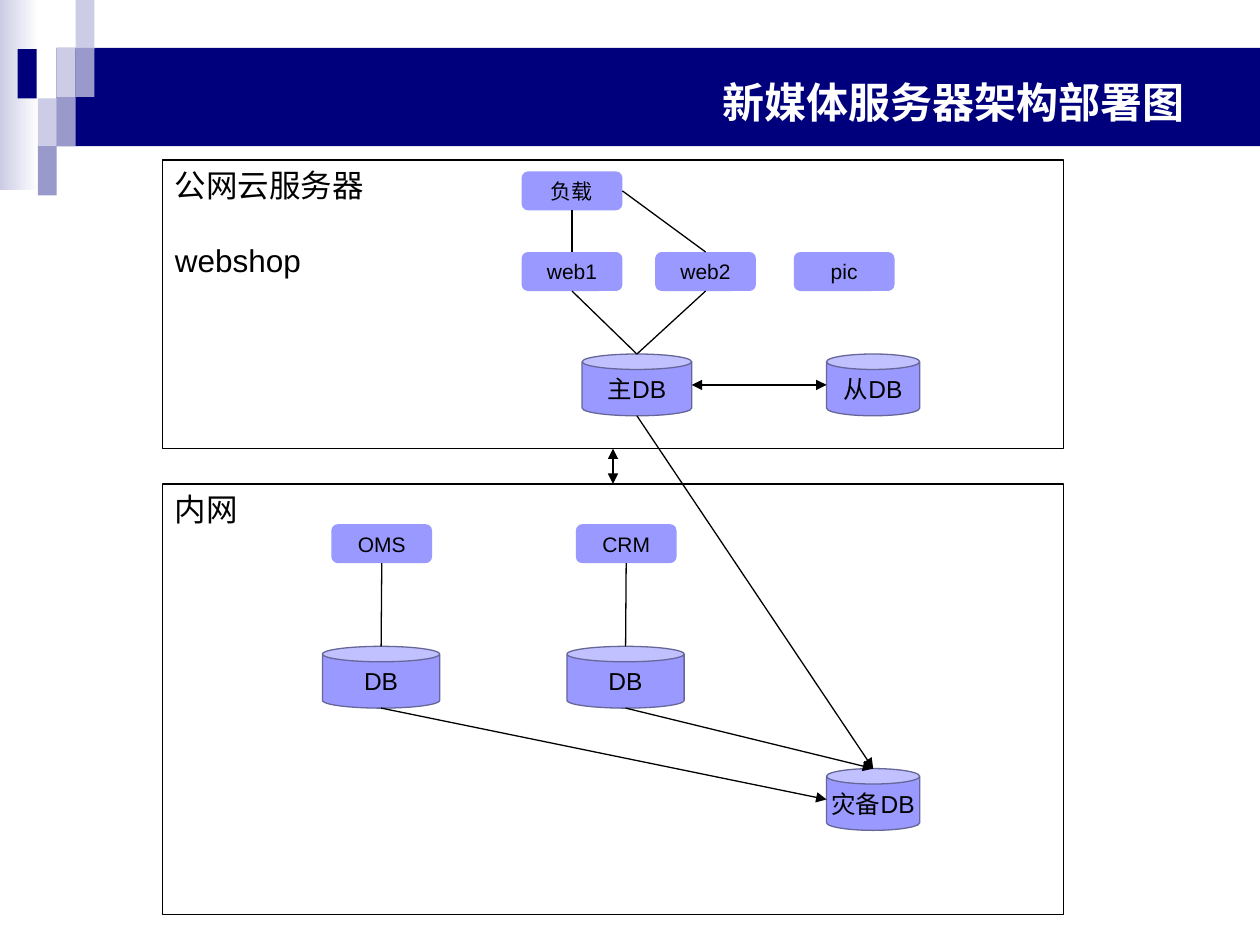
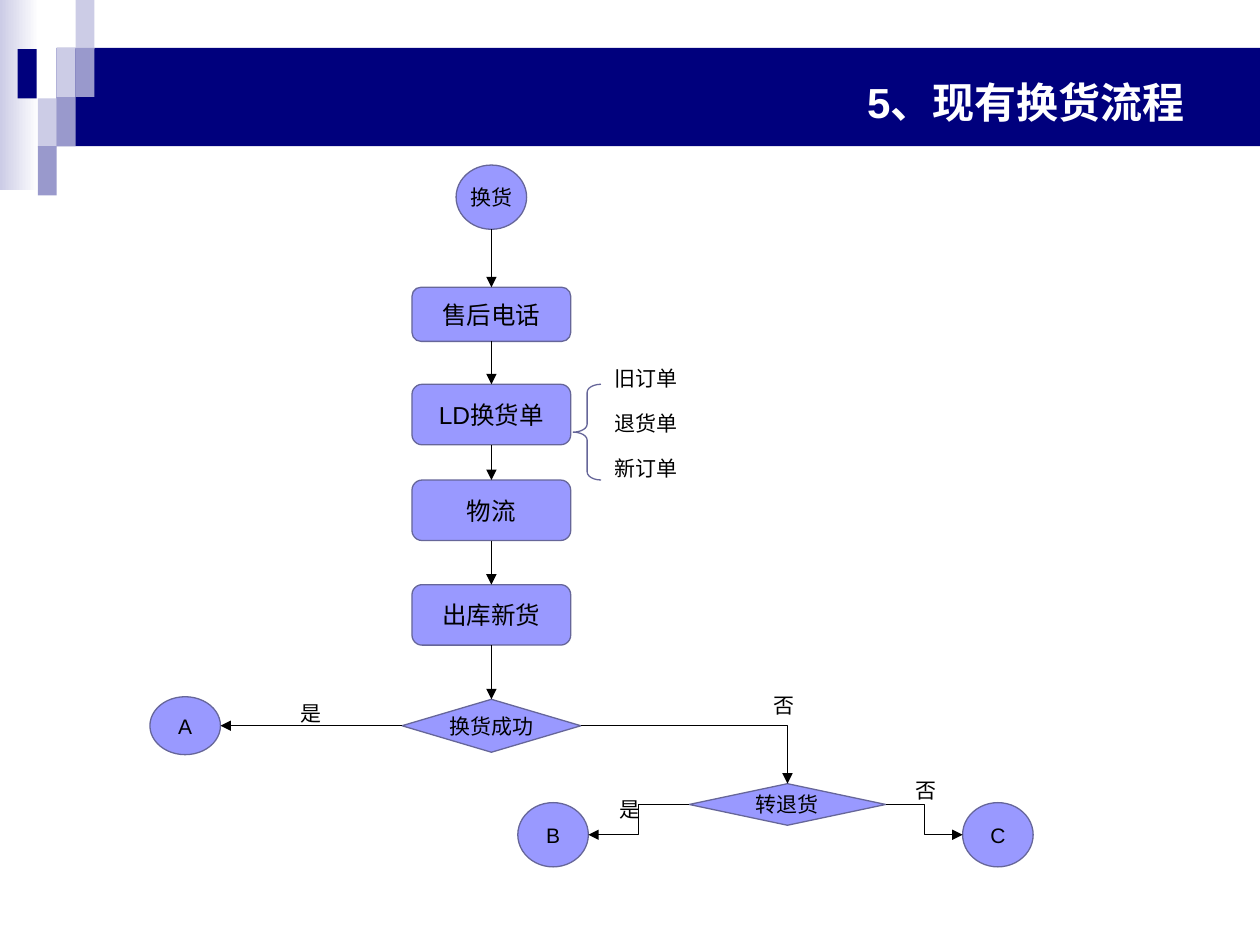
import dataclasses

import lxml.etree
import pptx
import pptx.dml.color
import pptx.enum.shapes
import pptx.enum.text
import pptx.oxml.ns
import pptx.util

Inches = pptx.util.Inches
Shape = pptx.enum.shapes.MSO_SHAPE
Line = pptx.enum.shapes.MSO_CONNECTOR
Align = pptx.enum.text.PP_ALIGN
Anchor = pptx.enum.text.MSO_ANCHOR
qn = pptx.oxml.ns.qn

TOP, LEFT, BOTTOM, RIGHT = range(4)
FOUR_SIDED = (Shape.RECTANGLE, Shape.FLOWCHART_ALTERNATE_PROCESS, Shape.DIAMOND)


@dataclasses.dataclass(frozen=True)
class Theme:
    font: str = "Arial"
    navy: str = "00007D"
    mist: str = "CCCCE6"
    slate: str = "9999CC"
    node: str = "9999FF"
    edge: str = "666699"
    ink: str = "000000"
    paper: str = "FFFFFF"
    title_size: int = 24
    panel_size: int = 18
    step_size: int = 14
    small_size: int = 12
    line_width: float = 0.75


THEME = Theme()


@dataclasses.dataclass(frozen=True)
class Box:
    """A region in inches."""
    left: float
    top: float
    width: float
    height: float

    def inner(self, left, top, width, height):
        return Box(self.left + left, self.top + top, width, height)

    def lengths(self):
        return [Inches(side) for side in dataclasses.astuple(self)]


def colour(code):
    return pptx.dml.color.RGBColor.from_string(code)


def style_para(para, size, code=THEME.ink, bold=False, align=Align.LEFT):
    para.alignment = align
    para.font.name = THEME.font
    para.font.size = pptx.util.Pt(size)
    para.font.bold = bold
    para.font.color.rgb = colour(code)


def add_shape(page, kind, box, fill=None, edge=None):
    shape = page.shapes.add_shape(kind, *box.lengths())
    shape.shadow.inherit = False
    if fill:
        shape.fill.solid()
        shape.fill.fore_color.rgb = colour(fill)
    else:
        shape.fill.background()
    if edge:
        shape.line.color.rgb = colour(edge)
        shape.line.width = pptx.util.Pt(THEME.line_width)
    else:
        shape.line.fill.background()
    return shape


def add_node(page, kind, box, text, size, edge=THEME.edge):
    node = add_shape(page, kind, box, THEME.node, edge)
    frame = node.text_frame
    frame.word_wrap = False
    frame.vertical_anchor = Anchor.MIDDLE
    frame.text = text
    style_para(frame.paragraphs[0], size, align=Align.CENTER)
    return node


def add_server(page, box, text):
    return add_node(page, Shape.FLOWCHART_ALTERNATE_PROCESS, box, text,
                    THEME.small_size, edge=None)


def add_database(page, box, text):
    return add_node(page, Shape.CAN, box, text, THEME.step_size)


def add_label(page, box, text):
    frame = page.shapes.add_textbox(*box.lengths()).text_frame
    frame.word_wrap = False
    frame.text = text
    style_para(frame.paragraphs[0], THEME.small_size)


def side_point(shape, side):
    across = {LEFT: 0, RIGHT: shape.width}.get(side, shape.width // 2)
    down = {TOP: 0, BOTTOM: shape.height}.get(side, shape.height // 2)
    return shape.left + across, shape.top + down


def link(page, start, start_side, end, end_side, arrows="", kind=Line.STRAIGHT):
    """Join two shapes; arrows names the ends that carry a head."""
    connector = page.shapes.add_connector(
        kind, *side_point(start, start_side), *side_point(end, end_side))
    if kind == Line.STRAIGHT:
        if start.auto_shape_type in FOUR_SIDED:
            connector.begin_connect(start, start_side)
        if end.auto_shape_type in FOUR_SIDED:
            connector.end_connect(end, end_side)
    connector.line.color.rgb = colour(THEME.ink)
    connector.line.width = pptx.util.Pt(THEME.line_width)
    properties = connector.element.spPr
    outline = properties.find(qn("a:ln"))
    for tag in ("headEnd", "tailEnd"):
        if tag in arrows:
            lxml.etree.SubElement(outline, qn("a:" + tag), type="triangle")
    lxml.etree.SubElement(properties, qn("a:effectLst"))
    return connector


# Shared layout: title position, band and corner tiles
def prepare_layout(deck):
    layout = deck.slide_layouts[5]
    for holder in list(layout.placeholders):
        if holder.placeholder_format.idx == 0:
            holder.left, holder.top, holder.width, holder.height = Box(0.5, 0.3, 9, 1.01).lengths()
        else:
            holder.element.getparent().remove(holder.element)
    return layout


def fill_band(page, layout):
    """Draw the decoration and hand it to the layout, where all slides show it."""
    fade = add_shape(page, Shape.RECTANGLE, Box(0, 0, 0.31, 1.51), THEME.paper)
    fade.fill.gradient()
    fade.fill.gradient_angle = 180
    for stop, code, position in zip(fade.fill.gradient_stops, (THEME.paper, THEME.mist), (0, 1)):
        stop.color.rgb = colour(code)
        stop.position = position
    band = add_shape(page, Shape.RECTANGLE, Box(0.45, 0.38, 9.55, 0.78), THEME.navy)
    tiles = [(0.45, 0.38, THEME.mist), (0.6, 0, THEME.mist), (0.6, 0.38, THEME.slate),
             (0.3, 0.78, THEME.mist), (0.14, 0.39, THEME.navy),
             (0.45, 0.77, THEME.slate), (0.3, 1.16, THEME.slate)]
    decoration = [fade, band] + [
        add_shape(page, Shape.RECTANGLE, Box(left, top, 0.15, 0.39), code)
        for left, top, code in tiles]
    for shape in decoration:
        layout.shapes.element.append(shape.element)


def add_page(deck, layout, title):
    page = deck.slides.add_slide(layout)
    frame = page.shapes.title.text_frame
    frame.text = title
    frame.vertical_anchor = Anchor.MIDDLE
    style_para(frame.paragraphs[0], THEME.title_size, THEME.paper, True, Align.RIGHT)
    return page


# Server deployment
def add_panel(page, box, *lines):
    panel = add_shape(page, Shape.RECTANGLE, box, edge=THEME.ink)
    frame = panel.text_frame
    frame.vertical_anchor = Anchor.TOP
    frame.text = "\n".join(lines)
    for para in frame.paragraphs:
        style_para(para, THEME.panel_size)
    for para in frame.paragraphs[1:]:
        para.space_before = pptx.util.Pt(21)
    return panel


def fill_cloud(page, box):
    """Public servers; returns the main database."""
    balancer = add_server(page, box.inner(2.85, 0.09, 0.8, 0.31), "负载")
    web1, web2, _ = [add_server(page, box.inner(left, 0.73, 0.8, 0.31), name)
                     for left, name in ((2.85, "web1"), (3.91, "web2"), (5.01, "pic"))]
    main_db = add_database(page, box.inner(3.33, 1.54, 0.87, 0.49), "主DB")
    replica_db = add_database(page, box.inner(5.27, 1.54, 0.74, 0.49), "从DB")
    link(page, balancer, BOTTOM, web1, TOP)
    link(page, balancer, RIGHT, web2, TOP)
    for web in (web1, web2):
        link(page, web, BOTTOM, main_db, TOP)
    link(page, main_db, RIGHT, replica_db, LEFT, "headEnd tailEnd")
    return main_db


def fill_intranet(page, box):
    """Internal systems; returns the backup database."""
    backup_db = add_database(page, box.inner(5.27, 2.26, 0.74, 0.49), "灾备DB")
    for left, name, side in ((1.27, "OMS", LEFT), (3.21, "CRM", TOP)):
        server = add_server(page, box.inner(left + 0.07, 0.32, 0.8, 0.31), name)
        database = add_database(page, box.inner(left, 1.29, 0.93, 0.49), "DB")
        link(page, server, BOTTOM, database, TOP)
        link(page, database, BOTTOM, backup_db, side, "tailEnd")
    return backup_db


def fill_deployment(page, box):
    cloud_box = box.inner(0, 0, box.width, 2.29)
    intranet_box = box.inner(0, 2.57, box.width, 3.42)
    cloud = add_panel(page, cloud_box, "公网云服务器", "webshop")
    intranet = add_panel(page, intranet_box, "内网")
    main_db = fill_cloud(page, cloud_box)
    backup_db = fill_intranet(page, intranet_box)
    link(page, main_db, BOTTOM, backup_db, TOP, "tailEnd")
    link(page, cloud, BOTTOM, intranet, TOP, "headEnd tailEnd")


# Exchange process
def fill_exchange_flow(page, box):
    def add_end(left, top, height, text):
        return add_node(page, Shape.FLOWCHART_CONNECTOR, box.inner(left, top, 0.56, height),
                        text, THEME.small_size)

    def add_decision(left, top, width, height, text):
        return add_node(page, Shape.DIAMOND, box.inner(left, top, width, height),
                        text, THEME.small_size)

    # Main column
    column = [add_end(2.43, 0, 0.51, "换货")]
    for top, height, text in ((0.97, 0.43, "售后电话"), (1.74, 0.48, "LD换货单"),
                              (2.5, 0.48, "物流"), (3.33, 0.48, "出库新货")):
        column.append(add_node(page, Shape.FLOWCHART_ALTERNATE_PROCESS,
                               box.inner(2.08, top, 1.26, height), text, THEME.step_size))
    success = add_decision(2, 4.24, 1.42, 0.42, "换货成功")
    column.append(success)
    for upper, lower in zip(column, column[1:]):
        link(page, upper, BOTTOM, lower, TOP, "tailEnd")

    # Orders inside the exchange form
    brace = add_shape(page, Shape.LEFT_BRACE, box.inner(3.36, 1.74, 0.22, 0.76), edge=THEME.edge)
    brace.adjustments[0] = 0.29
    for row, text in enumerate(("旧订单", "退货单", "新订单")):
        add_label(page, box.inner(3.59, 1.54 + 0.36 * row, 0.7, 0.3), text)

    # Branches
    refund = add_decision(4.28, 4.91, 1.56, 0.33, "转退货")
    end_a = add_end(0, 4.22, 0.46, "A")
    end_b = add_end(2.92, 5.06, 0.51, "B")
    end_c = add_end(6.45, 5.06, 0.51, "C")
    link(page, success, LEFT, end_a, RIGHT, "tailEnd")
    corner = link(page, success, RIGHT, refund, TOP, "tailEnd", Line.ELBOW)
    corner.element.spPr.find(qn("a:prstGeom")).set("prst", "bentConnector2")
    link(page, refund, LEFT, end_b, RIGHT, "tailEnd", Line.ELBOW)
    link(page, refund, RIGHT, end_c, LEFT, "tailEnd", Line.ELBOW)
    for left, top, text in ((1.1, 4.2, "是"), (4.85, 4.14, "否"),
                            (3.63, 4.96, "是"), (5.98, 4.81, "否")):
        add_label(page, box.inner(left, top, 0.36, 0.3), text)


def main():
    deck = pptx.Presentation()
    deck.slide_width, deck.slide_height = Inches(10), Inches(7.5)
    layout = prepare_layout(deck)
    deployment = add_page(deck, layout, "新媒体服务器架构部署图")
    fill_band(deployment, layout)
    fill_deployment(deployment, Box(1.29, 1.27, 7.15, 5.99))
    exchange = add_page(deck, layout, "5、现有换货流程")
    fill_exchange_flow(exchange, Box(1.19, 1.31, 7.01, 5.57))
    deck.save("out.pptx")


if __name__ == "__main__":
    main()
